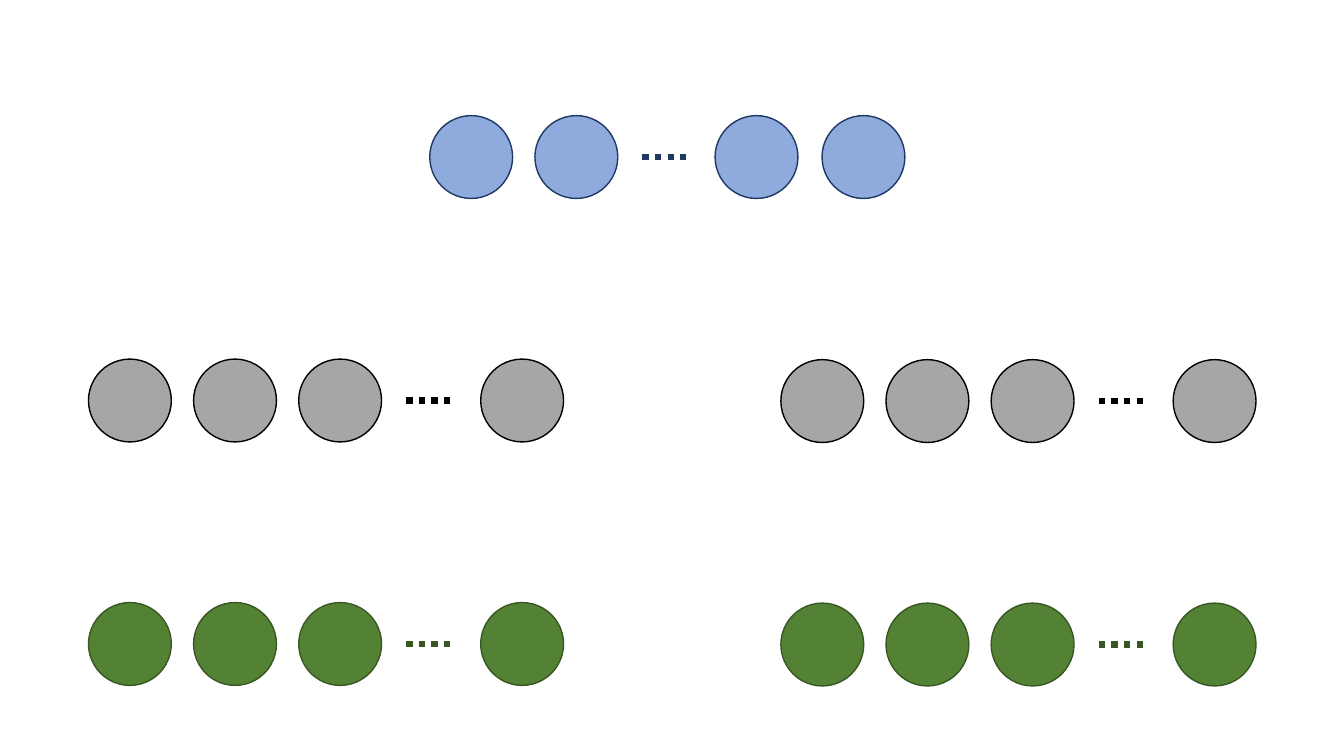
import pptx
import pptx.util
import pptx.dml.color
import pptx.enum.dml
import pptx.enum.shapes
import pptx.oxml.ns
import lxml.etree

Pt = pptx.util.Pt
DIAMETER = 59.2
PITCH = 75.1
DOTS_LENGTH = 35


def rgb(value):
    return pptx.dml.color.RGBColor.from_string(value)


prs = pptx.Presentation()
prs.slide_width = Pt(960)
prs.slide_height = Pt(540)
s = prs.slides.add_slide(prs.slide_layouts[6])

# Offsets from the left end of a row: its circles, then its dots
wide_row = ([0, PITCH, 2 * PITCH, 280.2], 227)
split_row = ([0, PITCH, 203.8, 280.2], 151.8)

# left, top, offsets, fill, line
rows = [
    (63.2, 430.4, wide_row, "548235", "385723"),
    (557.8, 430.8, wide_row, "548235", "385723"),
    (63.2, 256.5, wide_row, "A6A6A6", "000000"),
    (557.8, 256.9, wide_row, "A6A6A6", "000000"),
    (307, 82.6, split_row, "8FAADC", "203864"),
]

for left, top, (circle_offsets, dots_offset), fill, line in rows:
    for offset in circle_offsets:
        sp = s.shapes.add_shape(
            pptx.enum.shapes.MSO_SHAPE.OVAL,
            Pt(left + offset), Pt(top), Pt(DIAMETER), Pt(DIAMETER))
        sp.shadow.inherit = False
        sp.fill.solid()
        sp.fill.fore_color.rgb = rgb(fill)
        sp.line.color.rgb = rgb(line)
        sp.line.width = Pt(1)

    x = left + dots_offset
    y = top + DIAMETER / 2
    dots = s.shapes.add_connector(
        pptx.enum.shapes.MSO_CONNECTOR.STRAIGHT,
        Pt(x), Pt(y), Pt(x + DOTS_LENGTH), Pt(y))
    dots.line.color.rgb = rgb(line)
    dots.line.width = Pt(4.5)
    # ROUND_DOT is written as sysDot, which draws square dots with flat caps
    dots.line.dash_style = pptx.enum.dml.MSO_LINE.ROUND_DOT
    lxml.etree.SubElement(dots._element.spPr, pptx.oxml.ns.qn("a:effectLst"))

prs.save("out.pptx")
